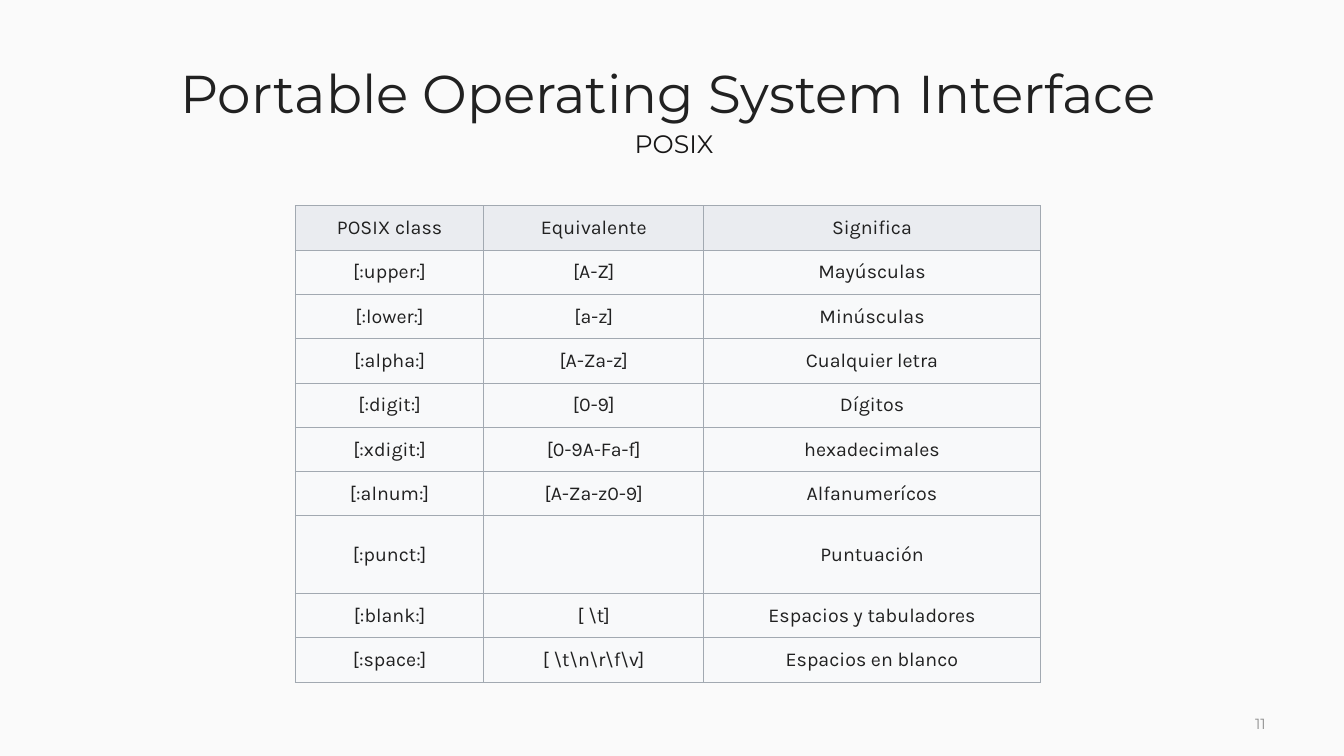
from dataclasses import dataclass

from lxml.etree import SubElement
from pptx import Presentation
from pptx.dml.color import RGBColor
from pptx.enum.text import MSO_ANCHOR as Anchor, PP_ALIGN as Align
from pptx.oxml.ns import qn
from pptx.util import Inches, Pt


@dataclass(frozen=True)
class Theme:
    background: str = "FAFAFA"
    ink: str = "212121"
    subtitle_ink: str = "171616"
    muted: str = "8D8D8D"
    header_fill: str = "EAECF0"
    body_fill: str = "F8F9FA"
    border: str = "A2A9B1"
    border_width: float = 0.75
    heading_font: str = "Montserrat"
    table_font: str = "Karla"
    title_size: float = 38
    subtitle_size: float = 18
    table_size: float = 14
    number_size: float = 10.5


THEME = Theme()

COLUMN_WIDTHS = (1.87, 2.18, 3.34)
ROW_HEIGHT = 0.44
PUNCT_HEIGHT = 0.77
POSIX_CLASSES = (
    ("POSIX class", "Equivalente", "Significa"),
    ("[:upper:]", "[A-Z]", "Mayúsculas"),
    ("[:lower:]", "[a-z]", "Minúsculas"),
    ("[:alpha:]", "[A-Za-z]", "Cualquier letra"),
    ("[:digit:]", "[0-9]", "Dígitos"),
    ("[:xdigit:]", "[0-9A-Fa-f]", "hexadecimales"),
    ("[:alnum:]", "[A-Za-z0-9]", "Alfanumerícos"),
    ("[:punct:]", "", "Puntuación"),
    ("[:blank:]", r"[ \t]", "Espacios y tabuladores"),
    ("[:space:]", r"[ \t\n\r\f\v]", "Espacios en blanco"),
)


def add_span(para, text, size, font, color):
    span = para.add_run()
    span.text = text
    span.font.size = Pt(size)
    span.font.name = font
    span.font.color.rgb = RGBColor.from_string(color)


def add_label(page, box, text, size, color, align=Align.CENTER, anchor=Anchor.MIDDLE, spacing=1.0):
    frame = page.shapes.add_textbox(*map(Inches, box)).text_frame
    frame.word_wrap = True
    frame.vertical_anchor = anchor
    para = frame.paragraphs[0]
    para.alignment = align
    para.line_spacing = spacing
    add_span(para, text, size, THEME.heading_font, color)


def add_borders(cell):
    properties = cell._tc.get_or_add_tcPr()
    for index, side in enumerate(("a:lnL", "a:lnR", "a:lnT", "a:lnB")):
        line = SubElement(properties, qn(side), w=str(Pt(THEME.border_width)))
        properties.insert(index, line)
        fill = SubElement(line, qn("a:solidFill"))
        SubElement(fill, qn("a:srgbClr"), val=THEME.border)


def fill_cell(cell, text, color):
    cell.fill.solid()
    cell.fill.fore_color.rgb = RGBColor.from_string(color)
    cell.vertical_anchor = Anchor.MIDDLE
    cell.margin_left = cell.margin_right = Inches(0.08)
    cell.margin_top = cell.margin_bottom = Inches(0.04)
    add_borders(cell)
    if text:
        para = cell.text_frame.paragraphs[0]
        para.alignment = Align.CENTER
        add_span(para, text, THEME.table_size, THEME.table_font, THEME.ink)


def add_class_table(page, left, top):
    heights = [PUNCT_HEIGHT if row[0] == "[:punct:]" else ROW_HEIGHT for row in POSIX_CLASSES]
    box = (left, top, sum(COLUMN_WIDTHS), sum(heights))
    table = page.shapes.add_table(len(heights), len(COLUMN_WIDTHS), *map(Inches, box)).table
    table.horz_banding = False
    for column, width in zip(table.columns, COLUMN_WIDTHS):
        column.width = Inches(width)
    for index, (row, height, texts) in enumerate(zip(table.rows, heights, POSIX_CLASSES)):
        row.height = Inches(height)
        color = THEME.body_fill if index else THEME.header_fill
        for cell, text in zip(row.cells, texts):
            fill_cell(cell, text, color)


def add_heading(page, left, top, width):
    add_label(page, (left, top, width, 1.11), "Portable Operating System Interface",
              THEME.title_size, THEME.ink, spacing=0.9)
    add_label(page, (left + 0.12, top + 0.82, width - 0.12, 0.4), "POSIX",
              THEME.subtitle_size, THEME.subtitle_ink, anchor=Anchor.TOP)


def build_slide(deck):
    page = deck.slides.add_slide(deck.slide_layouts[6])
    page.background.fill.solid()
    page.background.fill.fore_color.rgb = RGBColor.from_string(THEME.background)
    add_label(page, (12.35, 6.86, 0.39, 0.64), "11", THEME.number_size, THEME.muted, align=Align.LEFT)
    add_heading(page, 0.64, 0.4, 11.97)
    add_class_table(page, 2.93, 2.04)


def main():
    deck = Presentation()
    deck.slide_width = Inches(13.33)
    deck.slide_height = Inches(7.5)
    build_slide(deck)
    deck.save("out.pptx")


if __name__ == "__main__":
    main()
